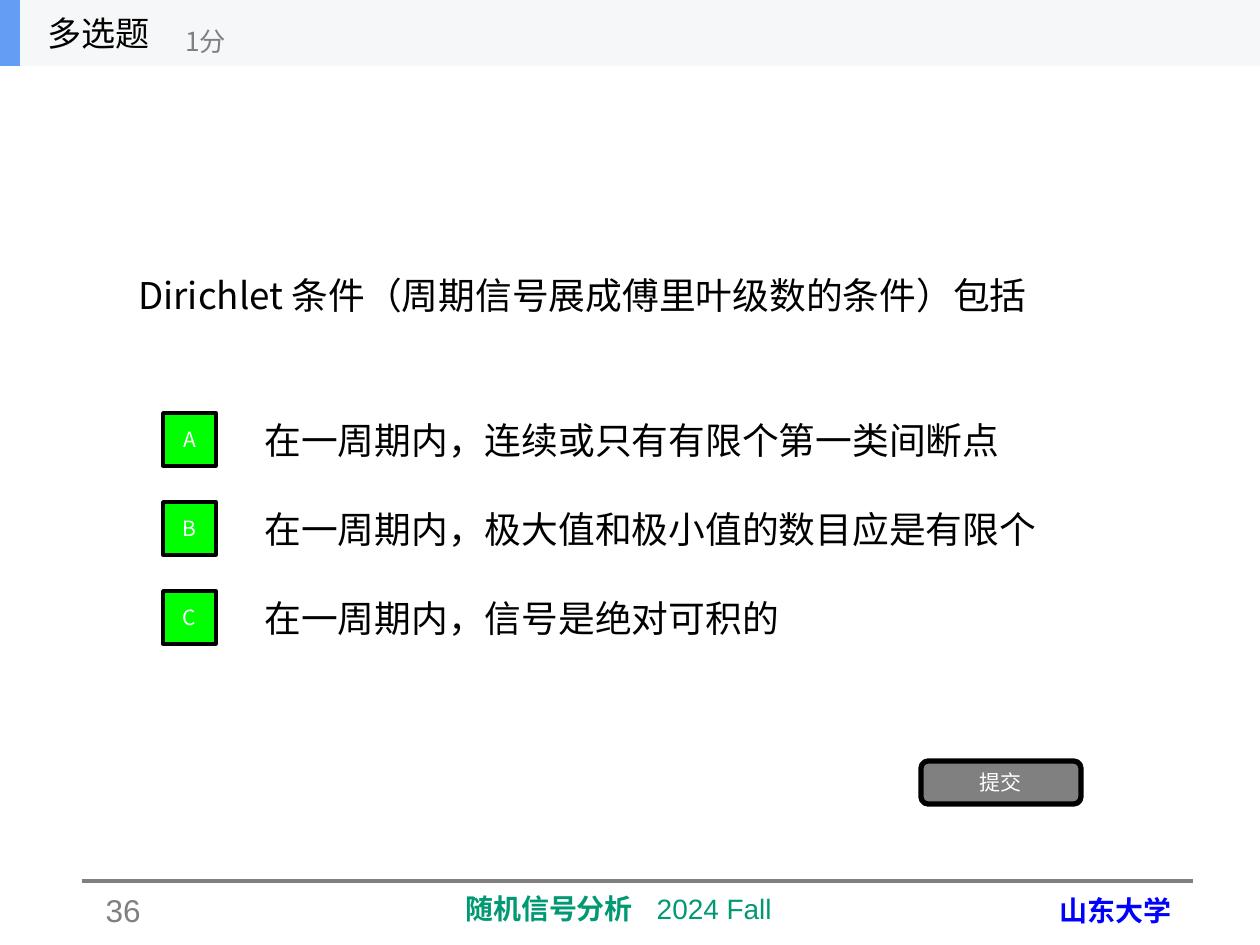
"""Build a multiple-choice question slide with a header, options and a footer."""
from lxml import etree
from pptx import Presentation
from pptx.dml.color import RGBColor
from pptx.enum.shapes import MSO_CONNECTOR, MSO_SHAPE
from pptx.enum.text import MSO_ANCHOR, PP_ALIGN
from pptx.oxml.ns import qn
from pptx.util import Pt

PX = 914400 / 126
RECTANGLE, ROUNDED = MSO_SHAPE.RECTANGLE, MSO_SHAPE.ROUNDED_RECTANGLE
STRAIGHT = MSO_CONNECTOR.STRAIGHT
LEFT, CENTER, RIGHT = PP_ALIGN.LEFT, PP_ALIGN.CENTER, PP_ALIGN.RIGHT
TOP, MIDDLE = MSO_ANCHOR.TOP, MSO_ANCHOR.MIDDLE
SANS, LATIN = "Noto Sans CJK SC", "Arial"
COLORS = {
    "black": "000000", "white": "FFFFFF", "gray": "808080", "option": "00FF00",
    "course": "009973", "school": "0000FF", "header": "F6F7F8", "accent": "639EF4",
}


def color(name):
    return RGBColor.from_string(COLORS[name])


def write(shape, runs, size, ink, font=SANS, align=LEFT, anchor=MIDDLE):
    frame = shape.text_frame
    frame.word_wrap = True
    frame.vertical_anchor = anchor
    paragraph = frame.paragraphs[0]
    paragraph.alignment = align
    for text, bold in runs:
        run = paragraph.add_run()
        run.text = text
        run.font.size = Pt(size)
        run.font.bold = bold
        run.font.color.rgb = color(ink)
        run.font.name = font
        etree.SubElement(run.font._element, qn("a:ea"), typeface=SANS)
    return paragraph


presentation = Presentation()
presentation.slide_width = round(1260 * PX)
presentation.slide_height = round(945 * PX)
slide = presentation.slides.add_slide(presentation.slide_layouts[6])

rule = slide.shapes.add_connector(STRAIGHT, *[round(n * PX) for n in (82, 881, 1193, 881)])
rule.line.color.rgb = color("gray")
rule.line.width = Pt(2.25)
etree.SubElement(rule._element.spPr, qn("a:effectLst"))

footers = [
    ((84, 885, 69, 43), [("36", False)], 18, "gray", RIGHT),
    ((440, 885, 357, 46), [("随机信号分析", True), (" ", False), ("2024 Fall", False)],
     16, "course", CENTER),
    ((1047, 887, 179, 47), [("山东大学", True)], 16, "school", LEFT),
]
for box, runs, size, ink, align in footers:
    footer = slide.shapes.add_textbox(*[round(n * PX) for n in box])
    paragraph = write(footer, runs, size, ink, LATIN, align, TOP)
    for run in paragraph.runs:
        if run.text == " ":
            run.font._element.set("spc", "1000")

options = [
    "在一周期内，连续或只有有限个第一类间断点",
    "在一周期内，极大值和极小值的数目应是有限个",
    "在一周期内，信号是绝对可积的",
]
texts = [((126, 184, 1008, 222), "Dirichlet 条件（周期信号展成傅里叶级数的条件）包括", 21, "black")]
buttons = []
for row, option in enumerate(options):
    texts.append(((252, 406 + 89 * row, 882, 67), option, 21, "black"))
    buttons.append((RECTANGLE, (163, 413 + 89 * row, 53, 53), "ABC"[row], "option", 2))
buttons.append((ROUNDED, (921, 761, 160, 43), "提交", "gray", 3))
texts.append(((35, 0, 197, 66), "多选题", 19.5, "black"))
texts.append(((173, 15, 237, 53), "1分", 15, "gray"))

for kind, box, label, fill, width in buttons:
    button = slide.shapes.add_shape(kind, *[round(n * PX) for n in box])
    button.shadow.inherit = False
    button.fill.solid()
    button.fill.fore_color.rgb = color(fill)
    button.line.color.rgb = color("black")
    button.line.width = Pt(width)
    frame = button.text_frame
    frame.margin_left = frame.margin_right = round(9 * PX)
    frame.margin_top = frame.margin_bottom = round(5 * PX)
    write(button, [(label, False)], 12, "white", align=CENTER)

for width, fill in ((1260, "header"), (20, "accent")):
    band = slide.shapes.add_shape(RECTANGLE, 0, 0, round(width * PX), round(66 * PX))
    band.shadow.inherit = False
    band.fill.solid()
    band.fill.fore_color.rgb = color(fill)
    band.line.fill.background()

for box, text, size, ink in texts:
    text_box = slide.shapes.add_textbox(*[round(n * PX) for n in box])
    write(text_box, [(text, False)], size, ink)

presentation.save("out.pptx")
